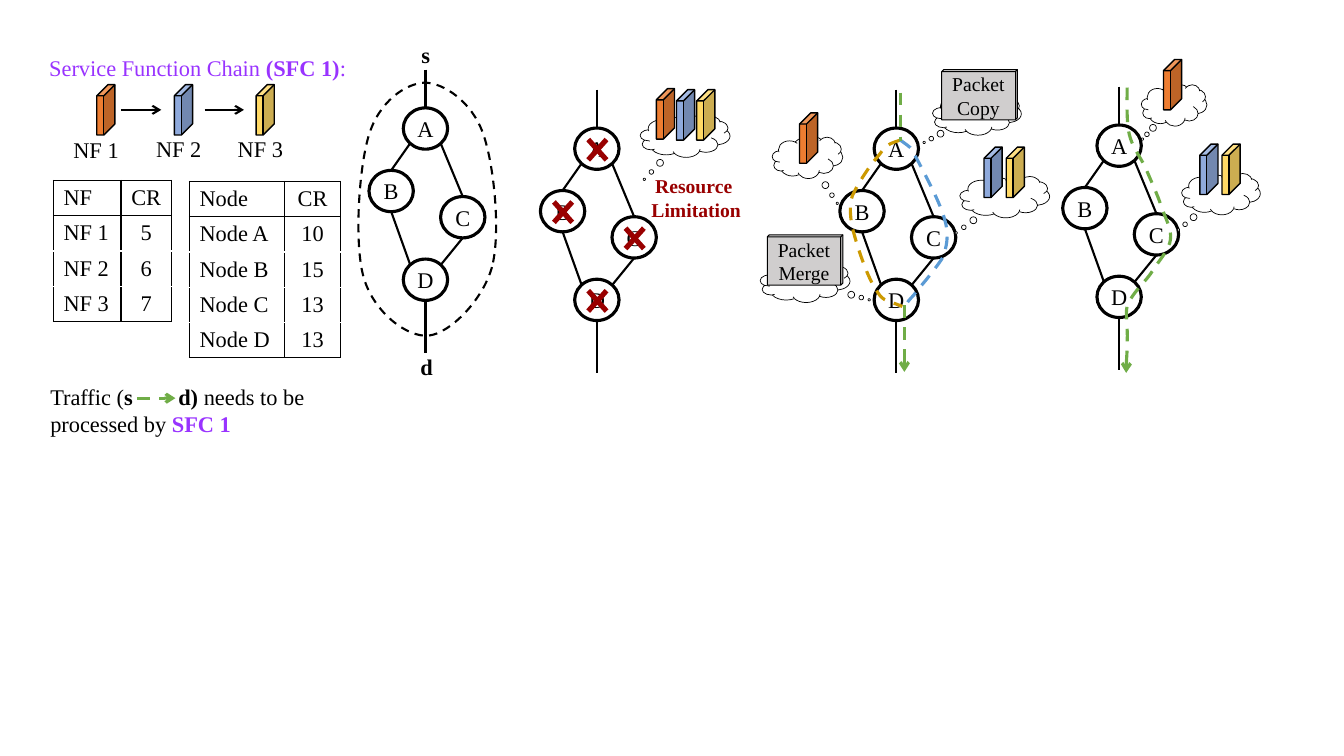
from itertools import chain
from lxml import etree
from pptx import Presentation
from pptx.dml.color import RGBColor
from pptx.enum.dml import MSO_LINE
from pptx.enum.shapes import MSO_CONNECTOR, MSO_SHAPE as SHAPE
from pptx.enum.text import MSO_ANCHOR, PP_ALIGN
from pptx.oxml import parse_xml
from pptx.oxml.ns import nsdecls, qn
from pptx.util import Inches, Pt

BLACK = RGBColor(0x00, 0x00, 0x00)
WHITE = RGBColor(0xFF, 0xFF, 0xFF)
PURPLE = RGBColor(0x99, 0x33, 0xFF)
RED = RGBColor(0x99, 0x00, 0x00)
ORANGE = RGBColor(0xED, 0x7D, 0x31)
BLUE = RGBColor(0x8F, 0xAA, 0xDC)
YELLOW = RGBColor(0xFF, 0xD9, 0x66)
GRAY = RGBColor(0xD0, 0xCE, 0xCE)
GREEN = RGBColor(0x70, 0xAD, 0x47)
GOLD = RGBColor(0xCC, 0x99, 0x00)
SKY = RGBColor(0x5B, 0x9B, 0xD5)
FONT = "Times New Roman"

prs = Presentation()
prs.slide_width, prs.slide_height = Inches(13.33), Inches(7.5)
slide = prs.slides.add_slide(prs.slide_layouts[6])
shapes = slide.shapes


def write(tf, paragraphs, size=16, align=PP_ALIGN.LEFT):
    for i, runs in enumerate(paragraphs):
        p = tf.paragraphs[0] if i == 0 else tf.add_paragraph()
        p.alignment = align
        for text, color, bold in runs:
            r = p.add_run()
            r.text = text
            r.font.name, r.font.size, r.font.bold = FONT, Pt(size), bold
            r.font.color.rgb = color


def add_solid(kind, x, y, w, h, fill, line_width, adjustments=()):
    sp = shapes.add_shape(kind, Inches(x), Inches(y), Inches(w), Inches(h))
    sp.shadow.inherit = False
    for i, value in enumerate(adjustments):
        sp.adjustments[i] = value
    if fill is None:
        sp.fill.background()
    else:
        sp.fill.solid()
        sp.fill.fore_color.rgb = fill
    if line_width:
        sp.line.color.rgb = BLACK
        sp.line.width = Pt(line_width)
    else:
        sp.line.fill.background()
    tf = sp.text_frame
    tf.margin_left = tf.margin_right = tf.margin_top = tf.margin_bottom = 0
    tf.word_wrap = False
    tf.vertical_anchor = MSO_ANCHOR.MIDDLE
    return sp


tables = [
    (0.53, 1.79, (0.67, 0.5),
     [("NF", "CR"), ("NF 1", "5"), ("NF 2", "6"), ("NF 3", "7")]),
    (1.88, 1.8, (0.94, 0.56),
     [("Node", "CR"), ("Node A", "10"), ("Node B", "15"), ("Node C", "13"), ("Node D", "13")]),
]
row_h = 0.35
for x, y, widths, rows in tables:
    table = shapes.add_table(len(rows), 2, Inches(x), Inches(y),
                             Inches(sum(widths)), Inches(row_h * len(rows))).table
    table.first_row = table.horz_banding = False
    for col, width in zip(table.columns, widths):
        col.width = Inches(width)
    for i, row in enumerate(rows):
        table.rows[i].height = Inches(row_h)
        sides = "LR" + ("T" if i < 2 else "") + ("B" if i in (0, len(rows) - 1) else "")
        for j, text in enumerate(row):
            cell = table.cell(i, j)
            cell.fill.background()
            cell.margin_top = cell.margin_bottom = Inches(0.04)
            cell.vertical_anchor = MSO_ANCHOR.MIDDLE
            write(cell.text_frame, [[(text, BLACK, False)]],
                  align=PP_ALIGN.CENTER if j else PP_ALIGN.LEFT)
            borders = [side for side in "LRTB" if side in sides]
            for k, side in enumerate(borders):
                cell._tc.tcPr.insert(k, parse_xml(
                    f'<a:ln{side} {nsdecls("a")} w="12700"><a:solidFill>'
                    f'<a:srgbClr val="{BLACK}"/></a:solidFill></a:ln{side}>'))

curves = [
    ([(4.88, 2.65), (4.79, 2.98), (4.46, 3.31), (4.25, 3.33), (4.04, 3.35), (3.71, 3.1),
      (3.61, 2.76), (3.51, 2.43), (3.56, 1.66), (3.66, 1.34), (3.76, 1.01), (4.02, 0.83),
      (4.21, 0.82), (4.4, 0.82), (4.68, 1.01), (4.79, 1.32), (4.9, 1.62), (4.97, 2.31),
      (4.88, 2.65)], BLACK, 1.5, False),
    ([(11.18, 0.87), (11.18, 0.96), (11.17, 1.2), (11.2, 1.33), (11.23, 1.46), (11.3, 1.54),
      (11.36, 1.66), (11.41, 1.78), (11.48, 1.93), (11.52, 2.05), (11.56, 2.17), (11.62, 2.27),
      (11.61, 2.37), (11.6, 2.48), (11.49, 2.59), (11.43, 2.69), (11.36, 2.8), (11.27, 2.86),
      (11.19, 3.01), (11.15, 3.08), (11.19, 3.26), (11.18, 3.38), (11.18, 3.5), (11.17, 3.59),
      (11.17, 3.7)], GREEN, 2.25, True),
    ([(8.93, 1.39), (8.76, 1.44), (8.78, 1.47), (8.7, 1.56), (8.62, 1.65), (8.5, 1.84),
      (8.47, 1.91), (8.43, 1.97), (8.42, 2.12), (8.46, 2.28), (8.5, 2.44), (8.6, 2.74),
      (8.68, 2.86), (8.76, 2.99), (8.75, 2.96), (8.95, 3.04)], GOLD, 2.25, False),
    ([(8.93, 1.39), (9.05, 1.48), (9.02, 1.44), (9.09, 1.57), (9.16, 1.7), (9.33, 2.02),
      (9.37, 2.18), (9.42, 2.35), (9.38, 2.45), (9.36, 2.54), (9.3, 2.64), (9.16, 2.81),
      (9.09, 2.89), (9.03, 2.98), (9.04, 2.93), (8.97, 3.05)], SKY, 2.25, False),
]

lines = [
    (1.2, 1.09, 1.6, 1.09, BLACK, 1.5, False, True),
    (2.03, 1.09, 2.42, 1.09, BLACK, 1.5, False, True),
    (8.93, 0.92, 8.93, 1.4, GREEN, 2.25, True, False),
    (8.97, 3.03, 8.97, 3.69, GREEN, 2.25, True, True),
    (1.36, 3.95, 1.74, 3.95, GREEN, 2.25, True, True),
]
nodes = {"A": (-0.22, 0.38), "B": (-0.56, 1.0), "C": (0.15, 1.26), "D": (-0.22, 1.88)}
links = [(0, 0, 0, 0.38), (-0.15, 0.73, -0.34, 1.0), (0.15, 0.73, 0.37, 1.26),
         (0.37, 1.67, 0.15, 1.94), (-0.34, 1.41, -0.15, 1.94), (0, 2.29, 0, 2.81)]
topologies = [(4.22, 0.69), (5.92, 0.89), (8.89, 0.89), (11.1, 0.86)]
for x, y in topologies:
    for name, (dx, dy) in nodes.items():
        sp = add_solid(SHAPE.OVAL, x + dx, y + dy, 0.44, 0.41, None, 2.25)
        write(sp.text_frame, [[(name, BLACK, False)]], align=PP_ALIGN.CENTER)
    for x1, y1, x2, y2 in links:
        lines.append((x + x1, y + y1, x + x2, y + y2, BLACK, 1.5, False, False))

clouds = [
    (6.35, 1.15, 0.89, -0.454, 1.036), (7.66, 1.36, 0.7, 0.421, 1.104),
    (9.52, 1.75, 0.89, -0.541, 0.869), (9.25, 0.93, 0.88, -0.596, 0.679),
    (7.54, 2.59, 0.89, 0.714, 0.437), (11.32, 0.84, 0.65, -0.483, 0.817),
    (11.72, 1.72, 0.78, -0.541, 0.869),
]
for x, y, w, tip_x, tip_y in clouds:
    add_solid(SHAPE.CLOUD_CALLOUT, x, y, w, 0.41, WHITE, 0.5, (tip_x, tip_y))

functions = [
    (ORANGE, [(0.96, 0.84), (6.51, 0.88), (7.93, 1.12), (11.54, 0.59)]),
    (BLUE, [(1.73, 0.84), (6.71, 0.89), (9.76, 1.46), (11.9, 1.43)]),
    (YELLOW, [(2.54, 0.84), (6.91, 0.89), (9.98, 1.46), (12.12, 1.43)]),
]
for color, places in functions:
    for x, y in places:
        add_solid(SHAPE.CUBE, x, y, 0.18, 0.5, color, 1, (0.617,))

drawn = []
for points, color, width, arrow in curves:
    emu = [(Inches(x), Inches(y)) for x, y in points]
    builder = shapes.build_freeform(*emu[0])
    builder.add_line_segments(emu[1:], close=points[0] == points[-1])
    sp = builder.convert_to_shape()
    sp.shadow.inherit = False
    sp.fill.background()
    segments = list(sp._element.iter(qn("a:lnTo")))
    for i in range(0, len(points) - 1, 3):
        bezier = etree.Element(qn("a:cubicBezTo"))
        segments[i].addprevious(bezier)
        for segment in segments[i:i + 3]:
            bezier.append(segment[0])
            segment.getparent().remove(segment)
    drawn.append((sp, color, width, True, arrow))

for x1, y1, x2, y2, color, width, dash, arrow in lines:
    sp = shapes.add_connector(MSO_CONNECTOR.STRAIGHT, Inches(x1), Inches(y1),
                              Inches(x2), Inches(y2))
    drawn.append((sp, color, width, dash, arrow))

for sp, color, width, dash, arrow in drawn:
    sp.line.color.rgb = color
    sp.line.width = Pt(width)
    if dash:
        sp.line.dash_style = MSO_LINE.DASH
    spPr = sp._element.spPr
    if arrow:
        etree.SubElement(spPr.find(qn("a:ln")), qn("a:tailEnd"), type="arrow")
    if spPr.find(qn("a:effectLst")) is None:
        etree.SubElement(spPr, qn("a:effectLst"))

for x, y, action in [(9.34, 0.69, "Copy"), (7.61, 2.33, "Merge")]:
    sp = add_solid(SHAPE.CUBE, x, y, 0.75, 0.5, GRAY, 0.75, (0.043,))
    write(sp.text_frame, [[("Packet", BLACK, False)], [(action, BLACK, False)]],
          14, PP_ALIGN.CENTER)

blocked_x, blocked_y = topologies[1]
for dx, dy in nodes.values():
    add_solid(SHAPE.MATH_MULTIPLY, blocked_x + dx + 0.05, blocked_y + dy + 0.02,
              0.35, 0.39, RED, 0, (0.145,))

labels = [
    (0.39, 0.49, 3.2, 0.37, 16, PP_ALIGN.LEFT,
     [[("Service Function Chain", PURPLE, False), (" (SFC 1)", PURPLE, True), (":", PURPLE, False)]]),
    (0.63, 1.3, 0.66, 0.37, 16, PP_ALIGN.LEFT, [[("NF 1", BLACK, False)]]),
    (1.45, 1.29, 0.66, 0.37, 16, PP_ALIGN.LEFT, [[("NF 2", BLACK, False)]]),
    (2.26, 1.29, 0.66, 0.37, 16, PP_ALIGN.LEFT, [[("NF 3", BLACK, False)]]),
    (6.36, 1.68, 1.09, 0.57, 14, PP_ALIGN.CENTER,
     [[("Resource ", RED, True)], [("Limitation", RED, True)]]),
    (4.08, 0.36, 0.29, 0.37, 16, PP_ALIGN.LEFT, [[("s", BLACK, True)]]),
    (4.07, 3.45, 0.33, 0.37, 16, PP_ALIGN.LEFT, [[("d", BLACK, True)]]),
    (0.4, 3.75, 2.81, 0.64, 16, PP_ALIGN.LEFT,
     [[("Traffic (", BLACK, False), ("s\td)", BLACK, True), (" needs to be ", BLACK, False)],
      [("processed by ", BLACK, False), ("SFC 1", PURPLE, True)]]),
]
for x, y, w, h, size, align, paragraphs in labels:
    tf = shapes.add_textbox(Inches(x), Inches(y), Inches(w), Inches(h)).text_frame
    tf.word_wrap = False
    write(tf, paragraphs, size, align)
    if any("\t" in text for text, color, bold in chain(*paragraphs)):
        tabs = etree.SubElement(tf.paragraphs[0]._p.get_or_add_pPr(), qn("a:tabLst"))
        etree.SubElement(tabs, qn("a:tab"), pos=str(Inches(1.27)), algn="l")

prs.save("out.pptx")
